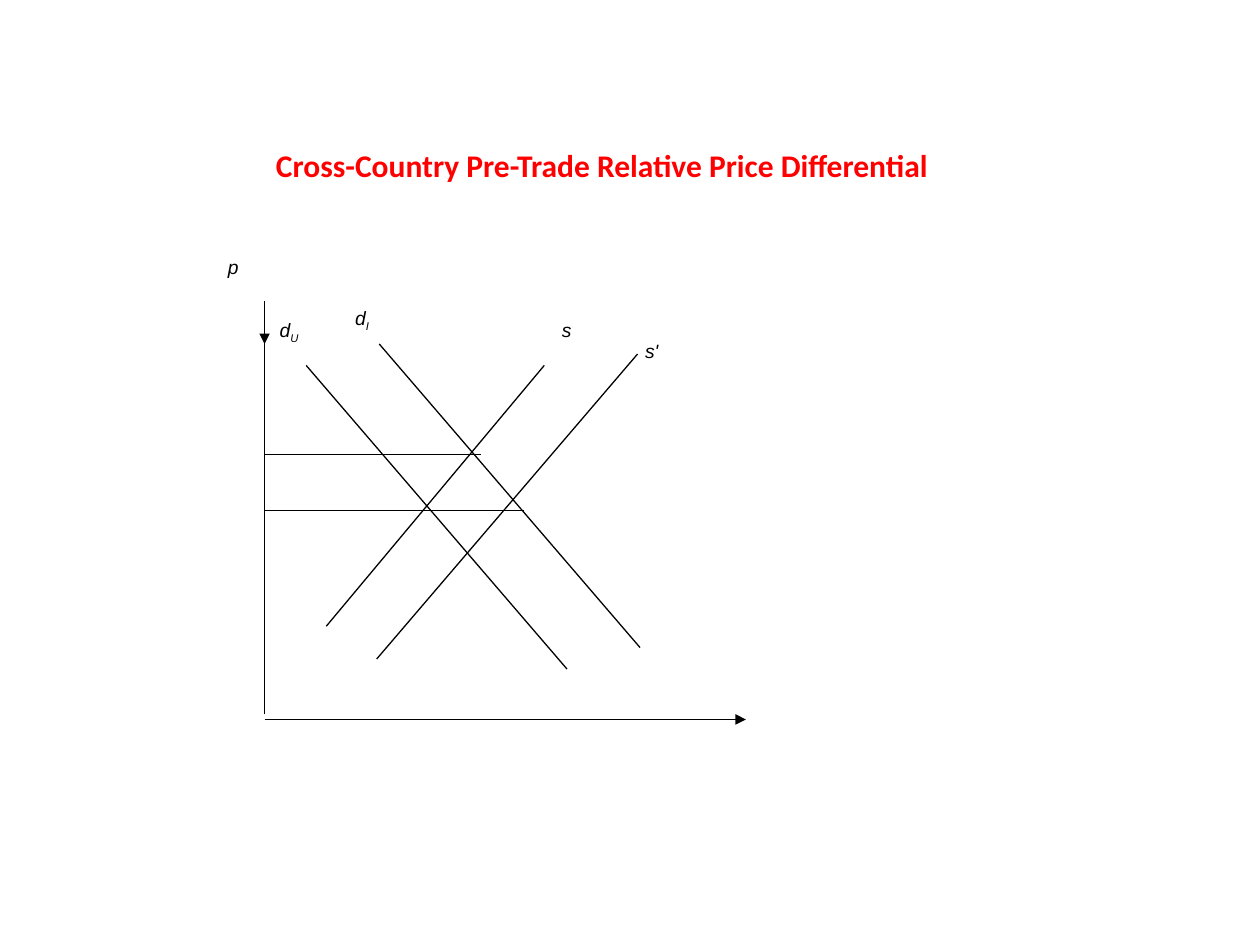
from dataclasses import dataclass

from lxml import etree
from pptx import Presentation
from pptx.dml.color import RGBColor
from pptx.enum.shapes import MSO_CONNECTOR
from pptx.oxml.ns import qn
from pptx.shapes.group import GroupShape
from pptx.shapes.shapetree import GroupShapes, SlideShapes
from pptx.util import Inches, Pt

STRAIGHT = MSO_CONNECTOR.STRAIGHT
BLACK = RGBColor(0x00, 0x00, 0x00)
RED = RGBColor(0xFF, 0x00, 0x00)
AXIS_X = 2.1
AXIS_Y = 5.71


@dataclass(frozen=True)
class Segment:
    start: tuple[float, float]
    end: tuple[float, float]
    arrow: bool = False


@dataclass(frozen=True)
class Label:
    text: str
    left: float
    top: float
    width: float = 0.34
    height: float = 0.34
    subscript: str = ""
    size: float = 11
    typeface: str = "Arial"
    color: RGBColor = BLACK
    bold: bool = False
    italic: bool = True


AXES = [
    Segment((AXIS_X, 2.57), (AXIS_X, 5.67)),
    Segment((AXIS_X, AXIS_Y), (5.89, AXIS_Y)),
]
DEMAND_CURVES = [
    Segment((left, top), (left + 2.07, top + 2.41))
    for left, top in [(2.43, 2.9), (3.01, 2.73)]
]
SUPPLY_CURVES = [
    Segment((2.59, 4.97), (4.32, 2.9)),
    Segment((5.06, 2.81), (2.99, 5.23)),
]
PRICE_LINES = [
    Segment((AXIS_X, price), (end, price))
    for price, end in [(4.05, 4.16), (3.61, 3.82)]
]
AXIS_ARROWS = [
    Segment((AXIS_X, 2.39), (AXIS_X, 2.73), arrow=True),
    Segment((5.57, AXIS_Y), (5.92, AXIS_Y), arrow=True),
]
CURVE_LABELS = [
    Label("d", 2.16, 2.5, subscript="U"),
    Label("d", 2.76, 2.4, subscript="I"),
    Label("s", 4.4, 2.5),
    Label("s'", 5.06, 2.66, width=0.69),
    Label("p", 1.75, 2),
]
TITLE = Label(
    "Cross-Country Pre-Trade Relative Price Differential",
    2.13, 1.13, 6.38, 0.65,
    size=18, typeface="Calibri", color=RED, bold=True, italic=False,
)


def draw_segment(diagram: GroupShape, segment: Segment) -> None:
    ends = [Inches(value) for value in segment.start + segment.end]
    connector = diagram.shapes.add_connector(STRAIGHT, *ends)
    connector.line.color.rgb = BLACK
    connector.line.width = Pt(0.75)
    if segment.arrow:
        outline = connector.line._get_or_add_ln()
        etree.SubElement(outline, qn("a:tailEnd"), type="triangle")
    etree.SubElement(connector._element.spPr, qn("a:effectLst"))


def draw_label(shapes: SlideShapes | GroupShapes, label: Label) -> None:
    box = shapes.add_textbox(
        Inches(label.left), Inches(label.top),
        Inches(label.width), Inches(label.height),
    )
    frame = box.text_frame
    frame.word_wrap = True
    frame.margin_left = frame.margin_right = Inches(0.06)
    frame.margin_top = frame.margin_bottom = Inches(0.03)
    para = frame.paragraphs[0]
    for text, baseline in [(label.text, 0), (label.subscript, -25000)]:
        if not text:
            continue
        span = para.add_run()
        span.text = text
        span.font.size = Pt(label.size)
        span.font.name = label.typeface
        span.font.bold = label.bold
        span.font.italic = label.italic
        span.font.color.rgb = label.color
        if baseline:
            span._r.get_or_add_rPr().set("baseline", str(baseline))


def main() -> None:
    deck = Presentation()
    deck.slide_width = Inches(10)
    deck.slide_height = Inches(7.5)
    page = deck.slides.add_slide(deck.slide_layouts[6])
    diagram = page.shapes.add_group_shape()
    for segment in AXES + DEMAND_CURVES + SUPPLY_CURVES + PRICE_LINES + AXIS_ARROWS:
        draw_segment(diagram, segment)
    for label in CURVE_LABELS:
        draw_label(diagram.shapes, label)
    draw_label(page.shapes, TITLE)
    deck.save("out.pptx")


if __name__ == "__main__":
    main()
